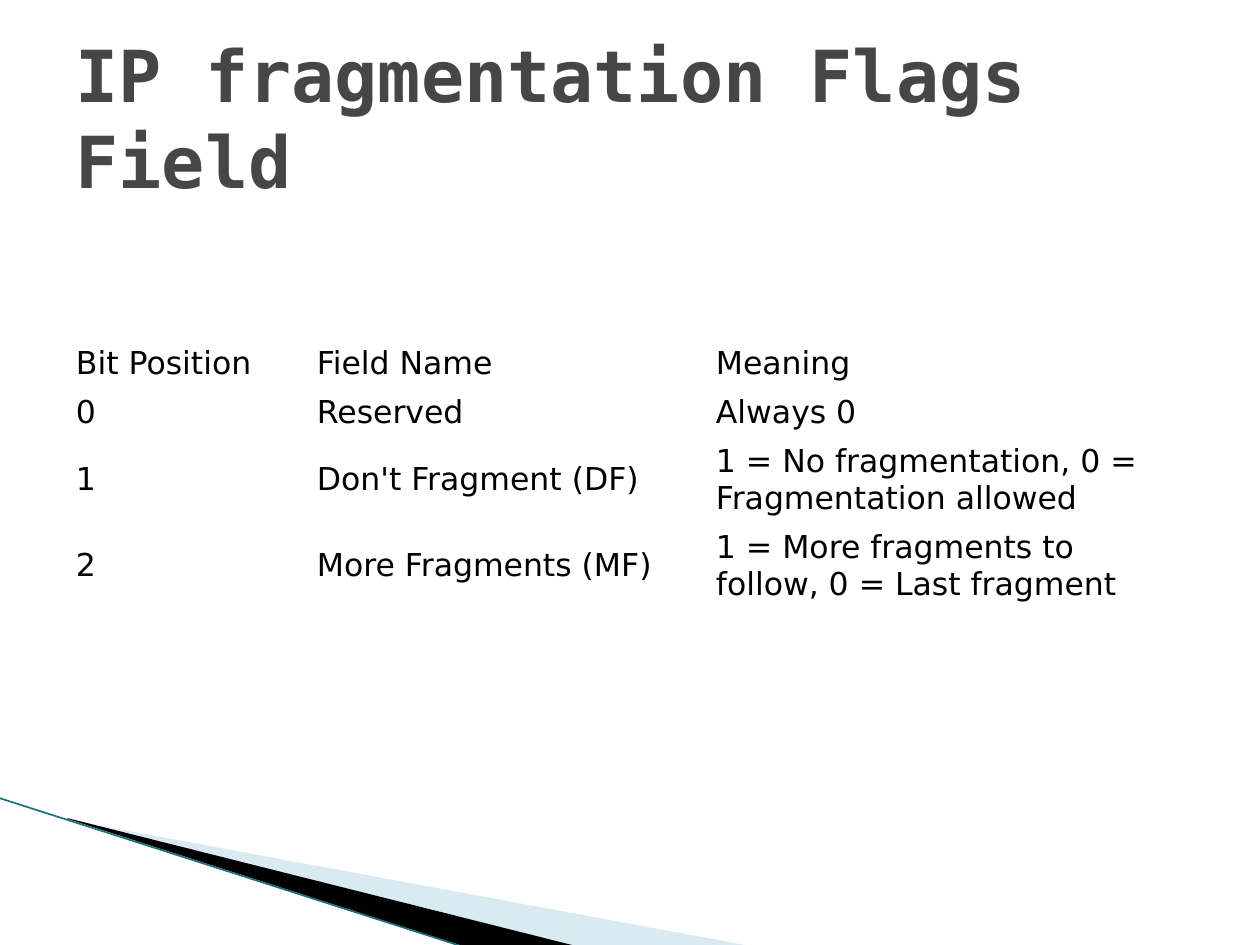
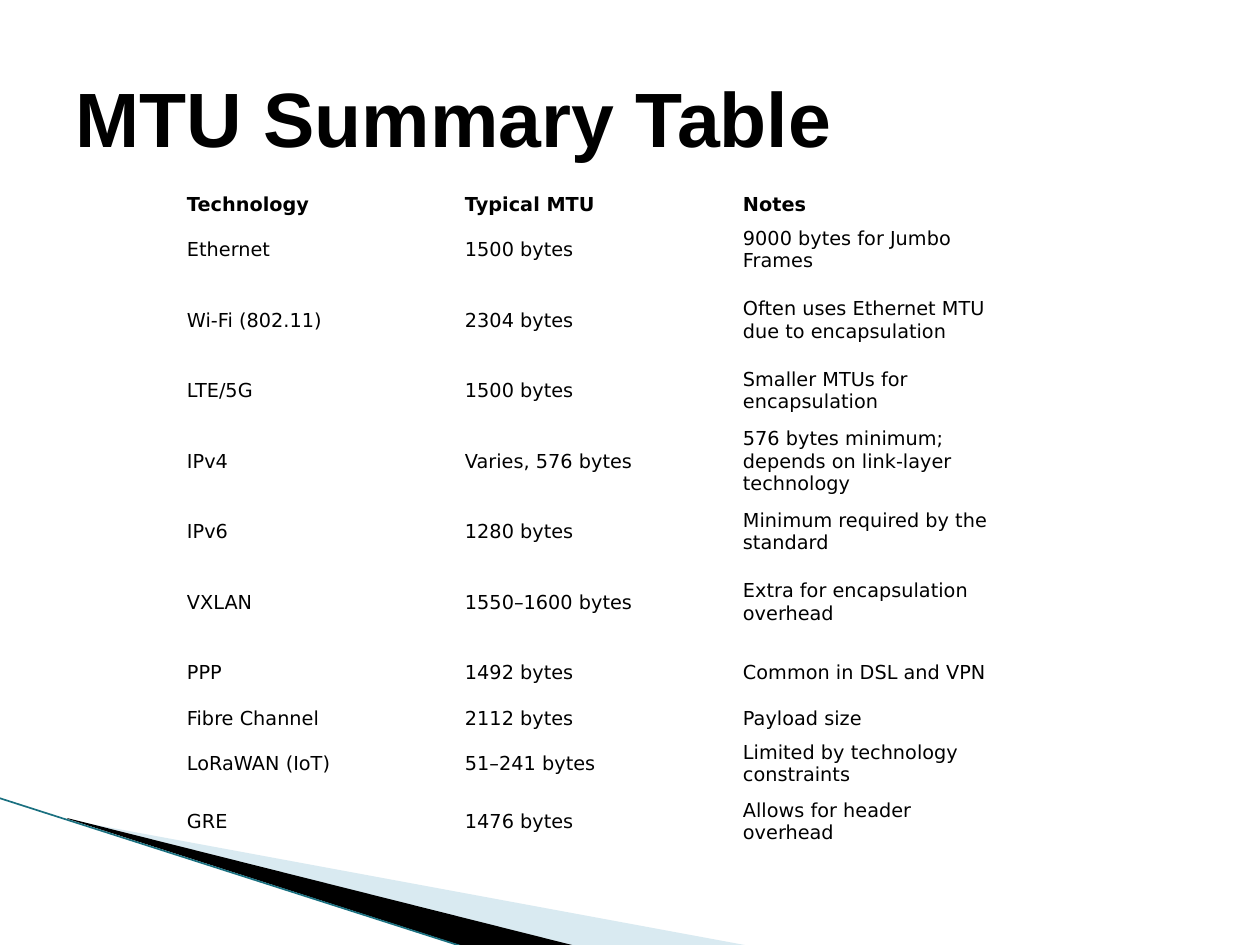
import dataclasses

import lxml.etree
import pptx
import pptx.dml.color
import pptx.enum.shapes
import pptx.enum.text
import pptx.oxml
import pptx.oxml.ns
import pptx.util

EMU_PER_PX = 914400 / 126
NO_GRID_STYLE = "{2D5ABB26-0587-4C30-8999-92F81FD0307C}"
MIDDLE = pptx.enum.text.MSO_ANCHOR.MIDDLE


@dataclasses.dataclass(frozen=True)
class Theme:
    ink: str = "000000"
    heading: str = "464646"
    pale_band: str = "A0CBDC"
    edge: str = "1A7080"
    pale_opacity: int = 40
    edge_width: float = 0.95
    sans: str = "DejaVu Sans"
    mono: str = "DejaVu Sans Mono"
    plain: str = "Arial"
    mono_title_size: int = 41
    title_size: int = 44
    table_size: int = 18
    small_table_size: int = 11


def px(length):
    return pptx.util.Emu(round(length * EMU_PER_PX))


def rgb(color):
    return pptx.dml.color.RGBColor.from_string(color)


def write_text(frame, text, *, font, size, color, bold=False):
    para = frame.paragraphs[0]
    para.alignment = pptx.enum.text.PP_ALIGN.LEFT
    span = para.add_run()
    span.text = text
    span.font.name = font
    span.font.size = pptx.util.Pt(size)
    span.font.color.rgb = rgb(color)
    span.font.bold = bold


class PageBuilder:
    def __init__(self, deck, theme):
        self.deck = deck
        self.theme = theme
        self.page = None

    def new_page(self, title, **text_format):
        self.page = self.deck.slides.add_slide(self.deck.slide_layouts[5])
        self.title(title, **text_format)
        self.corner_bands()

    def title(self, text, **text_format):
        box = self.page.shapes.title
        box.left, box.top, box.width, box.height = map(px, (63, 38, 1134, 157))
        frame = box.text_frame
        frame.word_wrap = True
        frame.auto_size = pptx.enum.text.MSO_AUTO_SIZE.NONE
        frame.vertical_anchor = MIDDLE
        write_text(frame, text, bold=True, **text_format)

    def corner_bands(self):
        theme = self.theme
        self.polygon([(69, 820), (750, 946), (575, 946), (69, 819)],
                     theme.pale_band, theme.pale_opacity)
        self.polygon([(67, 818), (576, 946), (469, 948), (68, 819)], theme.ink)
        self.line((-1, 798), (467, 948), theme.edge, theme.edge_width)

    def polygon(self, points, color, opacity=100):
        builder = self.page.shapes.build_freeform(*points[0], scale=EMU_PER_PX)
        builder.add_line_segments(points[1:], close=True)
        band = builder.convert_to_shape()
        band.shadow.inherit = False
        band.line.fill.background()
        band.fill.solid()
        band.fill.fore_color.rgb = rgb(color)
        if opacity < 100:
            tint = band.element.spPr.find(".//" + pptx.oxml.ns.qn("a:srgbClr"))
            alpha = lxml.etree.SubElement(tint, pptx.oxml.ns.qn("a:alpha"))
            alpha.set("val", str(opacity * 1000))

    def line(self, start, end, color, width):
        edge = self.page.shapes.add_connector(
            pptx.enum.shapes.MSO_CONNECTOR.STRAIGHT, *map(px, start + end))
        edge.line.color.rgb = rgb(color)
        edge.line.width = pptx.util.Pt(width)
        lxml.etree.SubElement(edge.element.spPr, pptx.oxml.ns.qn("a:effectLst"))

    def table(self, left, top, widths, heights, records, *, size,
              insets=(13, 6), bold_header=False):
        holder = self.page.shapes.add_table(
            len(heights), len(widths),
            *map(px, (left, top, sum(widths), sum(heights))))
        style = next(holder.element.iter(pptx.oxml.ns.qn("a:tableStyleId")))
        style.text = NO_GRID_STYLE
        grid = holder.table
        grid.first_row = grid.horz_banding = False
        for column, width in zip(grid.columns, widths):
            column.width = px(width)
        for index, (row, height, record) in enumerate(zip(grid.rows, heights, records)):
            row.height = px(height)
            for cell, text in zip(row.cells, record):
                cell.fill.background()
                cell.vertical_anchor = MIDDLE
                cell.margin_left = cell.margin_right = px(insets[0])
                cell.margin_top = cell.margin_bottom = px(insets[1])
                write_text(cell.text_frame, text, font=self.theme.sans, size=size,
                           color=self.theme.ink, bold=bold_header and index == 0)


FLAGS = [
    ("Bit Position", "Field Name", "Meaning"),
    ("0", "Reserved", "Always 0"),
    ("1", "Don't Fragment (DF)", "1 = No fragmentation, 0 = Fragmentation allowed"),
    ("2", "More Fragments (MF)", "1 = More fragments to follow, 0 = Last fragment"),
]

MTU_SIZES = [
    ("Technology", "Typical MTU", "Notes"),
    ("Ethernet", "1500 bytes", "9000 bytes for Jumbo Frames"),
    ("Wi-Fi (802.11)", "2304 bytes", "Often uses Ethernet MTU due to encapsulation"),
    ("LTE/5G", "1500 bytes", "Smaller MTUs for encapsulation"),
    ("IPv4", "Varies, 576 bytes", "576 bytes minimum; depends on link-layer technology"),
    ("IPv6", "1280 bytes", "Minimum required by the standard"),
    ("VXLAN", "1550–1600 bytes", "Extra for encapsulation overhead"),
    ("PPP", "1492 bytes", "Common in DSL and VPN"),
    ("Fibre Channel", "2112 bytes", "Payload size"),
    ("LoRaWAN (IoT)", "51–241 bytes", "Limited by technology constraints"),
    ("GRE", "1476 bytes", "Allows for header overhead"),
]


def main():
    deck = pptx.Presentation()
    deck.slide_width, deck.slide_height = px(1260), px(945)
    theme = Theme()
    builder = PageBuilder(deck, theme)

    builder.new_page("IP fragmentation Flags Field", font=theme.mono,
                     size=theme.mono_title_size, color=theme.heading)
    builder.table(63, 339, [241, 399, 494], [49, 49, 86, 86], FLAGS,
                  size=theme.table_size)

    builder.new_page("MTU Summary Table", font=theme.plain,
                     size=theme.title_size, color=theme.ink)
    short, medium, tall = 33, 58, 83
    heights = [short] + [medium, tall] * 3 + [medium, short, medium, medium]
    builder.table(179, 188, [278] * 3, heights, MTU_SIZES,
                  size=theme.small_table_size, insets=(8, 4), bold_header=True)

    deck.save("out.pptx")


if __name__ == "__main__":
    main()
